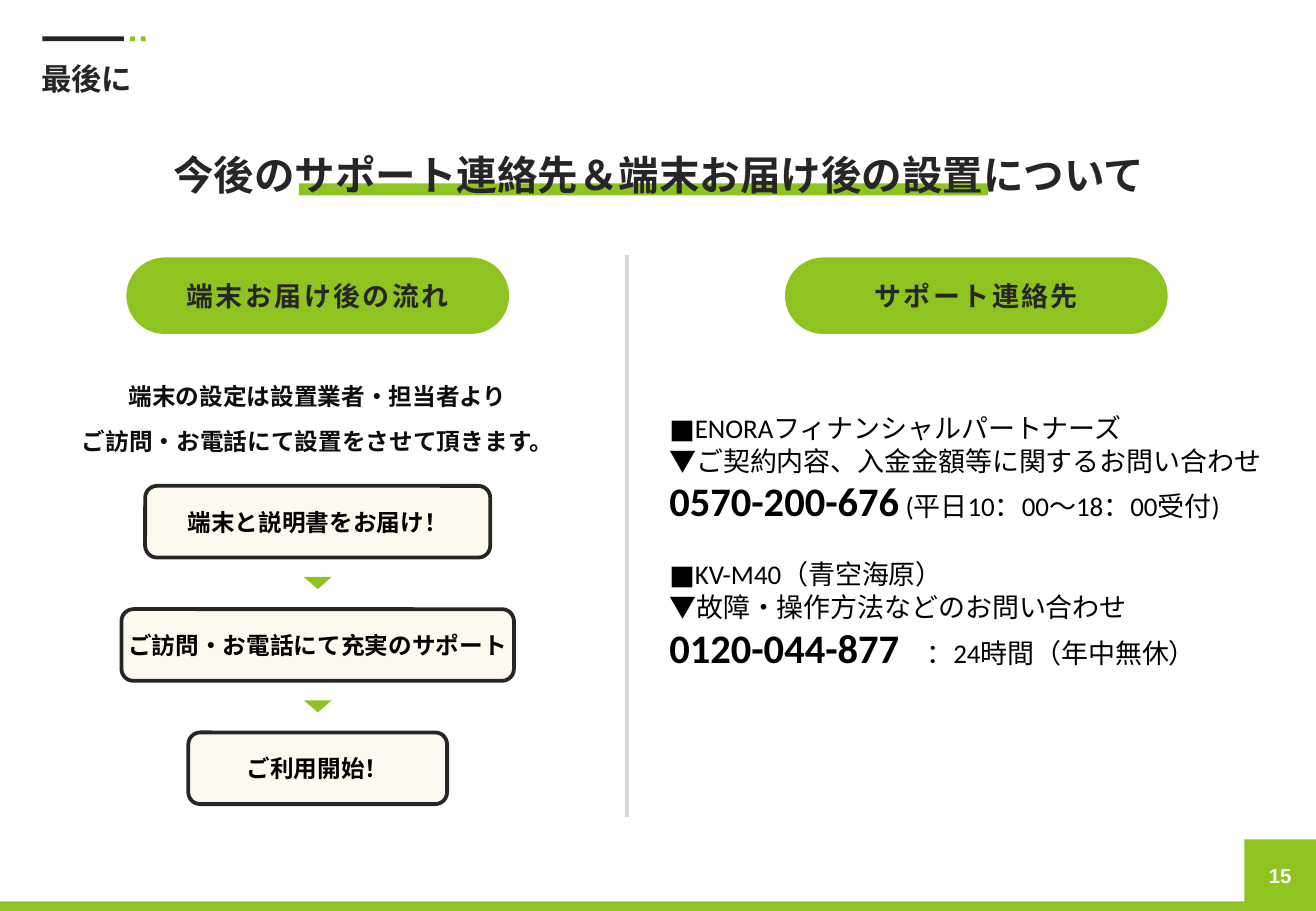
from pptx import Presentation
from pptx.dml.color import RGBColor
from pptx.enum.shapes import MSO_CONNECTOR, MSO_SHAPE
from pptx.enum.text import MSO_ANCHOR, PP_ALIGN
from pptx.oxml.ns import qn
from pptx.util import Inches, Pt
from lxml.etree import SubElement

COLORS = {
    "green": "8FC31F", "dark": "262626", "cream": "FEF9EE", "gray": "D9D9D9",
    "ink": "0D0D0D", "black": "000000", "white": "FFFFFF",
}
SECTION = "最後に"
HEADLINE = "今後のサポート連絡先＆端末お届け後の設置について"
PAGE_NUMBER = "15"
PILLS = [("端末お届け後の流れ", 1.04), ("サポート連絡先", 6.46)]
INTRO = ["端末の設定は設置業者・担当者より", "ご訪問・お電話にて設置をさせて頂きます。"]
STEPS = [
    ("端末と説明書をお届け！", 2.84),
    ("ご訪問・お電話にて充実のサポート", 3.23),
    ("ご利用開始！", 2.13),
]
CONTACTS = [
    ("■ENORAフィナンシャルパートナーズ", "▼ご契約内容、入金金額等に関するお問い合わせ",
     "0570-200-676", " (平日10：00～18：00受付)"),
    ("■KV-M40（青空海原）", "▼故障・操作方法などのお問い合わせ",
     "0120-044-877", "\u3000：24時間（年中無休）"),
]
BARS = [
    (2.46, 1.51, 5.67, 0.1, "green"),
    (0, 7.42, 10.83, 0.08, "green"),
    (0.35, 0.3, 0.67, 0.04, "dark"),
    (1.07, 0.3, 0.04, 0.04, "green"),
    (1.16, 0.3, 0.04, 0.04, "green"),
]
FLOW_CENTER, STEP_TOP, STEP_PITCH, STEP_HEIGHT = 2.615, 4, 1.015, 0.59
ARROW_WIDTH, ARROW_HEIGHT, ARROW_OFFSET = 0.23, 0.1, 0.75

deck = Presentation()
deck.slide_width, deck.slide_height = Inches(10.83), Inches(7.5)
page = deck.slides.add_slide(deck.slide_layouts[6])


def color(name):
    return RGBColor.from_string(COLORS[name])


def add_shape(kind, left, top, width, height, fill, outline=None):
    shape = page.shapes.add_shape(
        kind, Inches(left), Inches(top), Inches(width), Inches(height))
    shape.shadow.inherit = False
    shape.fill.solid()
    shape.fill.fore_color.rgb = color(fill)
    if outline:
        shape.line.color.rgb = color(outline)
        shape.line.width = Pt(2.25)
    else:
        shape.line.fill.background()
    return shape


def add_text_box(left, top, width, height, wrap=False):
    box = page.shapes.add_textbox(
        Inches(left), Inches(top), Inches(width), Inches(height))
    box.text_frame.word_wrap = wrap
    return box


def format_span(span, size, ink, font="Calibri", bold=True):
    span.font.name = font
    span.font.size = Pt(size)
    span.font.bold = bold
    span.font.color.rgb = color(ink)


def write(box, text, size, ink, font="Calibri", align=PP_ALIGN.CENTER):
    frame = box.text_frame
    frame.text = text
    for para in frame.paragraphs:
        para.alignment = align
        for span in para.runs:
            format_span(span, size, ink, font)
    return frame


def write_label(shape, text, size, ink, font="Calibri"):
    frame = write(shape, text, size, ink, font)
    frame.vertical_anchor = MSO_ANCHOR.MIDDLE
    frame.word_wrap = False
    return frame


for left, top, width, height, fill in BARS:
    add_shape(MSO_SHAPE.RECTANGLE, left, top, width, height, fill)
number = add_shape(MSO_SHAPE.RECTANGLE, 10.24, 6.91, 0.59, 0.59, "green")
write_label(number, PAGE_NUMBER, 12, "white", "Arial")

write(add_text_box(0.24, 0.45, 0.96, 0.4), SECTION, 18, "dark", align=PP_ALIGN.LEFT)
write(add_text_box(1.28, 1.19, 8.28, 0.5), HEADLINE, 24, "dark")

divider = page.shapes.add_connector(
    MSO_CONNECTOR.STRAIGHT, Inches(5.16), Inches(2.1), Inches(5.16), Inches(6.73))
divider.line.color.rgb = color("gray")
divider.line.width = Pt(2.25)
SubElement(divider._element.spPr, qn("a:effectLst"))

for text, left in PILLS:
    pill = add_shape(MSO_SHAPE.ROUNDED_RECTANGLE, left, 2.12, 3.15, 0.63, "green")
    pill.adjustments[0] = 0.5
    frame = write_label(pill, text, 16, "dark", "Arial")
    frame.paragraphs[0].runs[0]._r.get_or_add_rPr().set("spc", "150")

intro = write(add_text_box(0.55, 2.95, 4.13, 0.82), "\n".join(INTRO), 14, "ink", "Arial")
for para in intro.paragraphs:
    para.line_spacing = Pt(27)

for index, (text, width) in enumerate(STEPS):
    top = STEP_TOP + index * STEP_PITCH
    step = add_shape(MSO_SHAPE.ROUNDED_RECTANGLE, FLOW_CENTER - width / 2, top,
                     width, STEP_HEIGHT, "cream", "dark")
    write_label(step, text, 14, "black")
    if index < len(STEPS) - 1:
        arrow = add_shape(MSO_SHAPE.ISOSCELES_TRIANGLE, FLOW_CENTER - ARROW_WIDTH / 2,
                          top + ARROW_OFFSET, ARROW_WIDTH, ARROW_HEIGHT, "green")
        arrow.rotation = 180

contacts = add_text_box(5.41, 3.34, 5.32, 2.32, wrap=True).text_frame
para = contacts.paragraphs[0]
for index, (name, topic, phone, hours) in enumerate(CONTACTS):
    if index:
        para = contacts.add_paragraph()
        para.space_before = Pt(19.5)
    for line in (name, topic):
        para.text = line
        format_span(para.runs[0], 16, "black", bold=False)
        para = contacts.add_paragraph()
    for text, size, bold in ((phone, 24, True), (hours, 16, False)):
        span = para.add_run()
        span.text = text
        format_span(span, size, "black", bold=bold)

deck.save("out.pptx")
